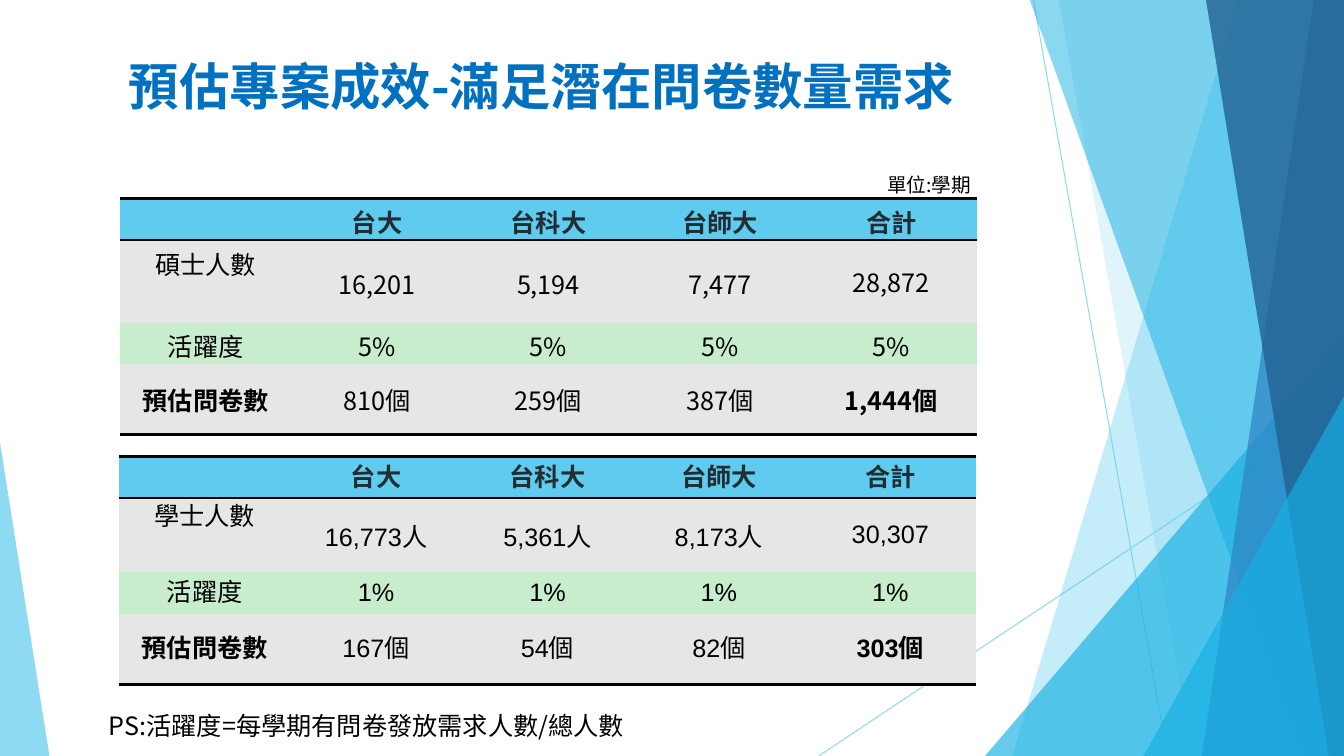
from dataclasses import dataclass

from lxml.etree import SubElement
from pptx import Presentation
from pptx.dml.color import RGBColor
from pptx.enum.shapes import MSO_CONNECTOR as Connector, MSO_SHAPE as Preset
from pptx.enum.text import MSO_ANCHOR as Anchor, PP_ALIGN as Align
from pptx.oxml.ns import qn
from pptx.util import Inches, Pt


@dataclass(frozen=True)
class Theme:
    sky: str = "5FCBEF"
    cyan: str = "16B0E3"
    blue: str = "2E83C3"
    navy: str = "226292"
    title: str = "0070C0"
    header_text: str = "212D32"
    black: str = "000000"
    grey: str = "E6E6E6"
    green: str = "C7EDCC"
    font: str = "Noto Sans CJK SC"
    table_font: str = "Arial"
    title_size: int = 36
    body_size: int = 18
    unit_size: int = 14
    border_width: int = 2


@dataclass(frozen=True)
class Ray:
    start: tuple[float, float]
    end: tuple[float, float]


@dataclass(frozen=True)
class Facet:
    points: list[tuple[float, float]]
    color: str
    opacity: int


@dataclass(frozen=True)
class Triangle:
    box: tuple[float, float, float, float]
    apex: float
    color: str
    opacity: int


@dataclass(frozen=True)
class Label:
    text: str
    box: tuple[float, float, float, float]
    size: int
    color: str
    bold: bool = False
    anchor: Anchor = Anchor.TOP
    inset_top: float = 0.1
    line_spacing: float | None = None


@dataclass(frozen=True)
class EstimateTable:
    left: float
    top: float
    font: str
    row_heights: list[float]
    rows: list[list[str]]


THEME = Theme()
WIDTH, HEIGHT, TOP = 13.33, 7.5, -0.01
COLUMN_WIDTH = 1.7
HEADER = ["", "台大", "台科大", "台師大", "合計"]
ROW_FILLS = [THEME.sky, THEME.grey, THEME.green, THEME.grey]


def right_facet(top_x: float, bottom_x: float, color: str, opacity: int) -> Facet:
    points = [(top_x, TOP), (WIDTH, TOP), (WIDTH, HEIGHT), (bottom_x, HEIGHT)]
    return Facet(points, color, opacity)


DECORATION = [
    Ray((10.25, 0), (11.58, HEIGHT)),
    Ray((WIDTH, 4.03), (8.12, HEIGHT)),
    right_facet(12.28, 10.04, THEME.sky, 36),
    right_facet(10.5, 11.83, THEME.sky, 20),
    Triangle((9.77, 3.33, 3.56, 4.17), 1, THEME.cyan, 66),
    right_facet(10.21, 12.91, THEME.cyan, 50),
    right_facet(13.03, 11.92, THEME.blue, 70),
    right_facet(11.96, 13.18, THEME.navy, 80),
    Triangle((11.34, 3.93, 1.99, 3.57), 1, THEME.cyan, 66),
    Triangle((0, 4.39, 0.49, 3.11), 0, THEME.sky, 70),
]
TABLES = [
    EstimateTable(1.19, 1.97, THEME.font, [0.41, 0.82, 0.41, 0.7], [
        HEADER,
        ["碩士人數", "16,201", "5,194", "7,477", "28,872"],
        ["活躍度"] + ["5%"] * 4,
        ["預估問卷數", "810個", "259個", "387個", "1,444個"],
    ]),
    EstimateTable(1.18, 4.53, THEME.table_font, [0.41, 0.74, 0.41, 0.7], [
        HEADER,
        ["學士人數", "16,773人", "5,361人", "8,173人", "30,307"],
        ["活躍度"] + ["1%"] * 4,
        ["預估問卷數", "167個", "54個", "82個", "303個"],
    ]),
]
TITLE = Label("預估專案成效-滿足潛在問卷數量需求", (1.18, 0, 8.5, 1.25), THEME.title_size,
              THEME.title, True, Anchor.BOTTOM, 0.05, 0.82)
NOTES = [
    Label("單位:學期", (8.7, 1.62, 1.26, 0.44), THEME.unit_size, THEME.black),
    Label("PS:活躍度=每學期有問卷發放需求人數/總人數", (0.98, 6.95, 10.41, 0.5),
          THEME.body_size, THEME.black),
]


def set_opacity(fill, opacity: int) -> None:
    color = next(fill.iter(qn("a:srgbClr")))
    SubElement(color, qn("a:alpha"), val=str(opacity * 1000))


def paint(shape, color: str, opacity: int) -> None:
    shape.shadow.inherit = False
    shape.fill.solid()
    shape.fill.fore_color.rgb = RGBColor.from_string(color)
    shape.line.fill.background()
    set_opacity(shape._element.spPr, opacity)


def draw_decoration(slide, item: Ray | Facet | Triangle) -> None:
    if isinstance(item, Ray):
        ends = [Inches(value) for value in item.start + item.end]
        connector = slide.shapes.add_connector(Connector.STRAIGHT, *ends)
        connector.line.width = Pt(0.75)
        connector.line.color.rgb = RGBColor.from_string(THEME.sky)
        set_opacity(connector._element.spPr, 70)
        SubElement(connector._element.spPr, qn("a:effectLst"))
        return
    if isinstance(item, Facet):
        points = [(Inches(x), Inches(y)) for x, y in item.points]
        builder = slide.shapes.build_freeform(*points[0])
        builder.add_line_segments(points[1:], close=True)
        shape = builder.convert_to_shape()
    else:
        shape = slide.shapes.add_shape(Preset.ISOSCELES_TRIANGLE, *map(Inches, item.box))
        shape.adjustments[0] = item.apex
    paint(shape, item.color, item.opacity)


def style_text(paragraph, font: str, size: int, color: str, bold: bool) -> None:
    for run in paragraph.runs:
        run.font.name = font
        run.font.size = Pt(size)
        run.font.bold = bold
        run.font.color.rgb = RGBColor.from_string(color)
        SubElement(run._r.get_or_add_rPr(), qn("a:ea"), typeface=font)


def draw_label(slide, label: Label) -> None:
    text_frame = slide.shapes.add_textbox(*map(Inches, label.box)).text_frame
    text_frame.word_wrap = True
    text_frame.vertical_anchor = label.anchor
    text_frame.margin_top = Inches(label.inset_top)
    text_frame.margin_bottom = Inches(0.1)
    text_frame.text = label.text
    paragraph = text_frame.paragraphs[0]
    paragraph.line_spacing = label.line_spacing
    style_text(paragraph, THEME.font, label.size, label.color, label.bold)


def set_borders(cell, ruled: set[str]) -> None:
    properties = cell._tc.get_or_add_tcPr()
    for index, side in enumerate(["lnL", "lnR", "lnT", "lnB"]):
        width = Pt(THEME.border_width) if side in ruled else 0
        line = properties.makeelement(qn(f"a:{side}"), {"w": str(width)})
        properties.insert(index, line)
        if side in ruled:
            SubElement(SubElement(line, qn("a:solidFill")), qn("a:srgbClr"), val=THEME.black)
        else:
            SubElement(line, qn("a:noFill"))


def draw_table(slide, estimate: EstimateTable) -> None:
    row_count, column_count = len(estimate.rows), len(HEADER)
    table = slide.shapes.add_table(
        row_count, column_count, Inches(estimate.left), Inches(estimate.top),
        Inches(COLUMN_WIDTH * column_count), Inches(sum(estimate.row_heights))).table
    table.first_row = table.horz_banding = False
    for row, height in zip(table.rows, estimate.row_heights):
        row.height = Inches(height)
    borders = [{"lnT", "lnB"}, {"lnT"}, set(), {"lnB"}]
    for row, texts in enumerate(estimate.rows):
        for column, text in enumerate(texts):
            cell = table.cell(row, column)
            cell.fill.solid()
            cell.fill.fore_color.rgb = RGBColor.from_string(ROW_FILLS[row])
            set_borders(cell, borders[row])
            cell.vertical_anchor = Anchor.TOP if (row, column) == (1, 0) else Anchor.MIDDLE
            cell.text_frame.text = text
            paragraph = cell.text_frame.paragraphs[0]
            paragraph.alignment = Align.CENTER
            if row == 1 and 0 < column < column_count - 1:
                cell.margin_top = cell.margin_bottom = Inches(0.1)
                paragraph.line_spacing = 1.15
            bold = row == 0 or (row == row_count - 1 and column in (0, column_count - 1))
            color = THEME.header_text if row == 0 else THEME.black
            style_text(paragraph, estimate.font, THEME.body_size, color, bold)


def main() -> None:
    presentation = Presentation()
    presentation.slide_width, presentation.slide_height = Inches(WIDTH), Inches(HEIGHT)
    slide = presentation.slides.add_slide(presentation.slide_layouts[6])
    for item in DECORATION:
        draw_decoration(slide, item)
    draw_label(slide, TITLE)
    for estimate in TABLES:
        draw_table(slide, estimate)
    for note in NOTES:
        draw_label(slide, note)
    presentation.save("out.pptx")


if __name__ == "__main__":
    main()
